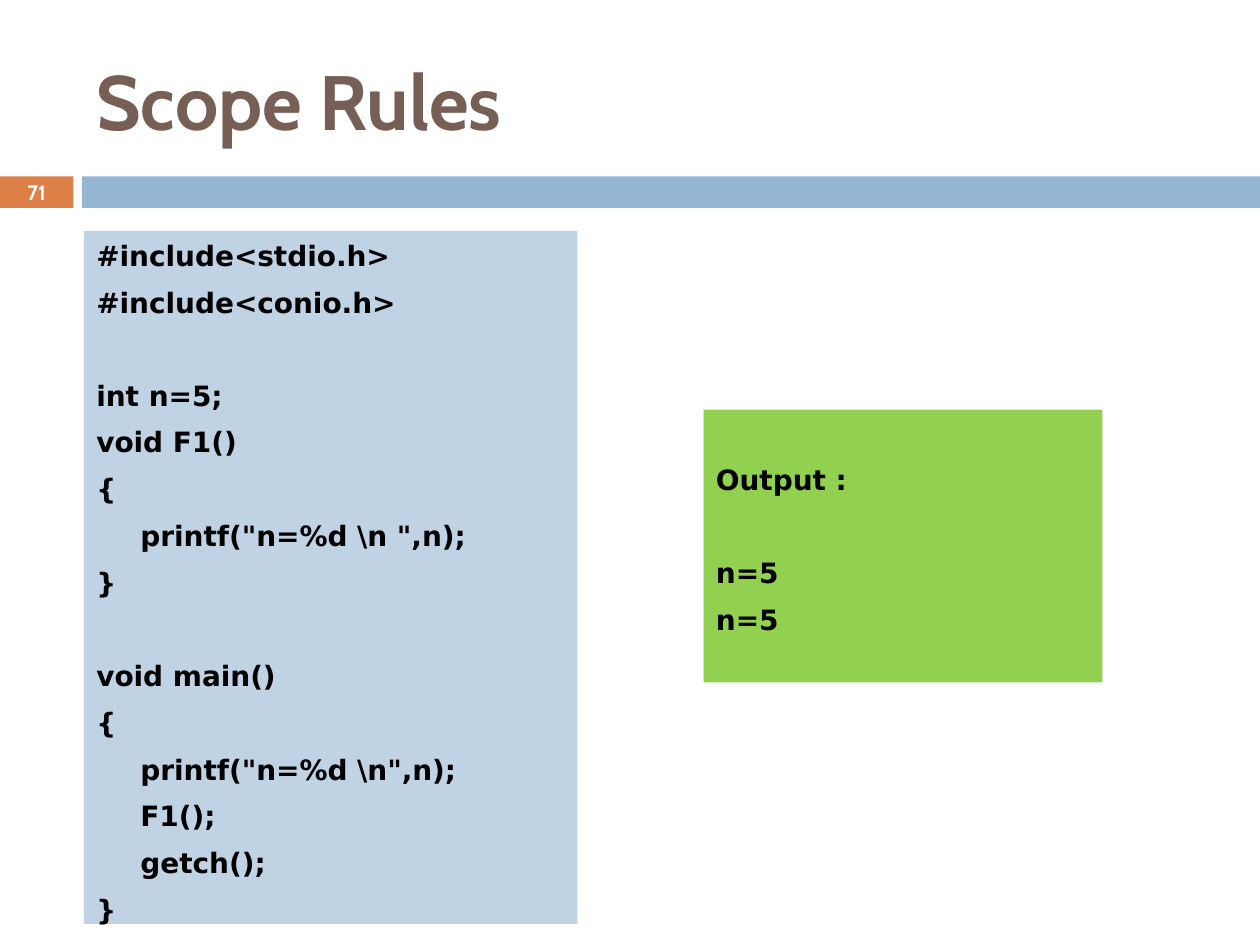
from dataclasses import dataclass

from pptx import Presentation
from pptx.dml.color import RGBColor
from pptx.enum.shapes import MSO_SHAPE
from pptx.enum.text import MSO_ANCHOR, PP_ALIGN
from pptx.util import Inches, Pt

RECTANGLE = MSO_SHAPE.RECTANGLE
TOP, MIDDLE = MSO_ANCHOR.TOP, MSO_ANCHOR.MIDDLE
LEFT, CENTER = PP_ALIGN.LEFT, PP_ALIGN.CENTER

CELL = Inches(1 / 12)
SIDE_INSET = Inches(0.1)
TAB_INDENT = Inches(0.35)
LINE_GAP = 7.6
LINE_PITCH = 26.2

CODE = r"""#include<stdio.h>
#include<conio.h>

int n=5;
void F1()
{
	printf("n=%d \n ",n);
}

void main()
{
	printf("n=%d \n",n);
	F1();
	getch();
}"""
OUTPUT = "Output :\n\nn=5\nn=5"


@dataclass(frozen=True)
class Style:
    font: str
    size: float
    color: str
    align: PP_ALIGN = LEFT
    anchor: MSO_ANCHOR = TOP
    tab_indent: bool = False


@dataclass(frozen=True)
class Panel:
    column: float
    row: float
    columns: float
    rows: float
    fill: str = ""
    text: str = ""
    style: Style | None = None
    top_inset: float = 0.05


TITLE_STYLE = Style("Cabin", 44, "775F55", anchor=MIDDLE)
NUMBER_STYLE = Style("Cabin", 11.9, "FFFFFF", CENTER, MIDDLE)
CODE_STYLE = Style("DejaVu Sans", 16, "000000", tab_indent=True)

PANELS = [
    Panel(0, 16.8, 7, 3, "DD8047", "71", NUMBER_STYLE),
    Panel(7.8, 16.8, 112.2, 3, "94B6D2"),
    Panel(8, 3, 107, 13, "", "Scope Rules", TITLE_STYLE),
    Panel(8, 22, 47, 66, "BFD3E4", CODE, CODE_STYLE, 0.06),
    Panel(67, 39, 38, 26, "92D050", OUTPUT, CODE_STYLE, 0.42),
]


def color(value: str) -> RGBColor:
    return RGBColor.from_string(value)


def write_text(frame, panel: Panel) -> None:
    style = panel.style
    frame.word_wrap = True
    frame.vertical_anchor = style.anchor
    frame.margin_left = frame.margin_right = SIDE_INSET
    frame.margin_top = Inches(panel.top_inset)
    frame.margin_bottom = Inches(0.05)
    space_before = 0.0
    para = frame.paragraphs[0]
    for index, line in enumerate(panel.text.split("\n")):
        if not line:
            space_before += LINE_PITCH
            continue
        if index:
            para = frame.add_paragraph()
        para.text = line
        para.alignment = style.align
        para.space_before = Pt(space_before)
        space_before = LINE_GAP
        if style.tab_indent:
            properties = para._p.get_or_add_pPr()
            properties.set("marL", str(TAB_INDENT))
            properties.set("indent", str(-TAB_INDENT))
        para.font.name = style.font
        para.font.size = Pt(style.size)
        para.font.bold = True
        para.font.color.rgb = color(style.color)


def draw_panel(page, panel: Panel) -> None:
    bounds = [round(length * CELL) for length in
              (panel.column, panel.row, panel.columns, panel.rows)]
    if panel.fill:
        box = page.shapes.add_shape(RECTANGLE, *bounds)
        box.shadow.inherit = False
        box.fill.solid()
        box.fill.fore_color.rgb = color(panel.fill)
        box.line.fill.background()
    else:
        box = page.shapes.add_textbox(*bounds)
    if panel.style:
        write_text(box.text_frame, panel)


def main() -> None:
    deck = Presentation()
    deck.slide_width, deck.slide_height = 120 * CELL, 90 * CELL
    page = deck.slides.add_slide(deck.slide_layouts[6])
    for panel in PANELS:
        draw_panel(page, panel)
    deck.save("out.pptx")


if __name__ == "__main__":
    main()
